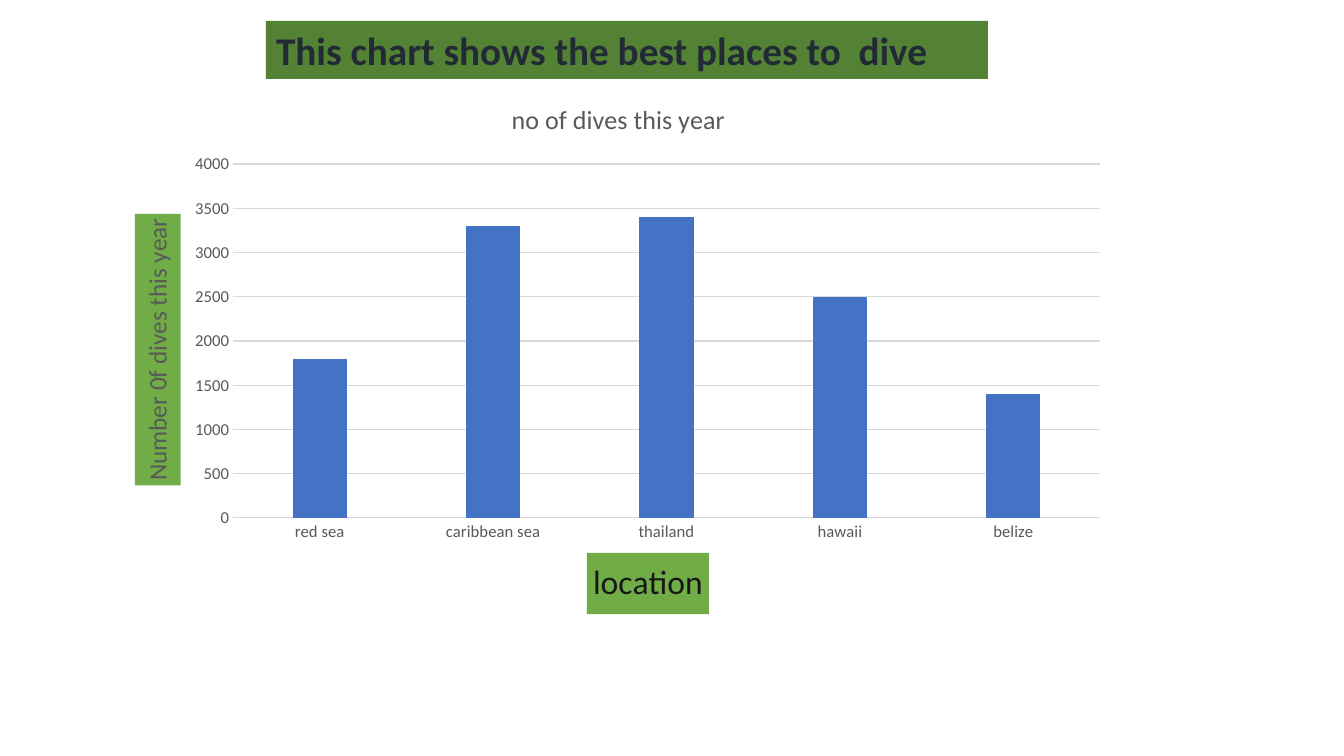
from lxml import etree
from pptx import Presentation
from pptx.chart.data import CategoryChartData
from pptx.dml.color import RGBColor
from pptx.enum.chart import XL_CHART_TYPE as ChartType, XL_TICK_MARK as TickMark
from pptx.enum.text import MSO_ANCHOR as Anchor, MSO_AUTO_SIZE as AutoSize, PP_ALIGN as Align
from pptx.oxml.ns import qn
from pptx.util import Pt

HEADING = "This chart shows the best places to  dive"
SERIES = "no of dives this year"
LOCATION = "location"
NUMBER = "Number 0f dives this year"
DIVES = {"red sea": 1800, "caribbean sea": 3300, "thailand": 3400, "hawaii": 2500, "belize": 1400}
COLORS = {"heading": "222A35", "band": "548235", "label": "70AD47", "location": "181717",
          "text": "595959", "grid": "D9D9D9", "bar": "4472C4"}
FONT = "Calibri"

# Left, top, width, height in px
PX = 9071
SLIDE = (1344, 756)
BAND = (266, 21, 722, 58)
CHART = (117, 80, 1003, 551)
PLOT = (233, 164, 867, 354)
LOCATION_AT = (587, 553)
NUMBER_AT = (135, 214)


def color(name):
    return RGBColor.from_string(COLORS[name])


def style(font, size, name):
    font.name, font.size, font.bold = FONT, Pt(size), name == "heading"
    font.color.rgb = color(name)


def fill(shape_format, name):
    shape_format.fill.solid()
    shape_format.fill.fore_color.rgb = color(name)


def grid_line(line):
    line.color.rgb = color("grid")
    line.width = Pt(0.75)


def pin(element, box, index):
    """Fix a chart part at a box in slide px; index is its layout's place among the children."""
    for old in element.findall(qn("c:layout")):
        element.remove(old)
    layout = etree.Element(qn("c:layout"))
    manual = etree.SubElement(layout, qn("c:manualLayout"))
    left, top, width, height = CHART
    shares = [(box[0] - left) / width, (box[1] - top) / height]
    if len(box) == 4:
        etree.SubElement(manual, qn("c:layoutTarget"), val="inner")
        shares += [box[2] / width, box[3] / height]
    for mode in ("xMode", "yMode"):
        etree.SubElement(manual, qn(f"c:{mode}"), val="edge")
    for side, share in zip("xywh", shares):
        etree.SubElement(manual, qn(f"c:{side}"), val=f"{share:.4f}")
    element.insert(index, layout)


def set_title(title, text, size, name):
    title.text_frame.text = text
    style(title.text_frame.paragraphs[0].runs[0].font, size, name)


prs = Presentation()
prs.slide_width, prs.slide_height = (side * PX for side in SLIDE)
slide = prs.slides.add_slide(prs.slide_layouts[5])

heading = slide.shapes.title
heading.left, heading.top, heading.width, heading.height = (n * PX for n in BAND)
fill(heading, "band")
frame = heading.text_frame
frame.text = HEADING
frame.auto_size = AutoSize.NONE
frame.vertical_anchor = Anchor.MIDDLE
frame.paragraphs[0].alignment = Align.LEFT
style(frame.paragraphs[0].runs[0].font, 28, "heading")

data = CategoryChartData()
data.categories = list(DIVES)
data.add_series(SERIES, list(DIVES.values()))
chart = slide.shapes.add_chart(ChartType.COLUMN_CLUSTERED, *(n * PX for n in CHART), data).chart
style(chart.font, 11.9, "text")
chart.has_legend = False
chart.has_title = True
set_title(chart.chart_title, SERIES, 18.6, "text")

bars = chart.plots[0]
bars.gap_width, bars.overlap, bars.vary_by_categories = 219, -27, False
fill(bars.series[0].format, "bar")

places, numbers = chart.category_axis, chart.value_axis
for axis, text, size, name, corner in (
    (places, LOCATION, 24, "location", LOCATION_AT),
    (numbers, NUMBER, 18, "text", NUMBER_AT),
):
    axis.major_tick_mark = axis.minor_tick_mark = TickMark.NONE
    style(axis.tick_labels.font, 11.9, "text")
    title = axis.axis_title
    set_title(title, text, size, name)
    fill(title.format, "label")
    pin(title._element, corner, 1)
numbers.axis_title.text_frame._txBody.bodyPr.set("rot", "-5400000")
numbers.axis_title.text_frame._txBody.bodyPr.set("vert", "horz")
numbers.minimum_scale, numbers.maximum_scale, numbers.major_unit = 0, 4000, 500
numbers.format.line.fill.background()
grid_line(places.format.line)
grid_line(numbers.major_gridlines.format.line)
pin(chart._chartSpace.chart.plotArea, PLOT, 0)

prs.save("out.pptx")
